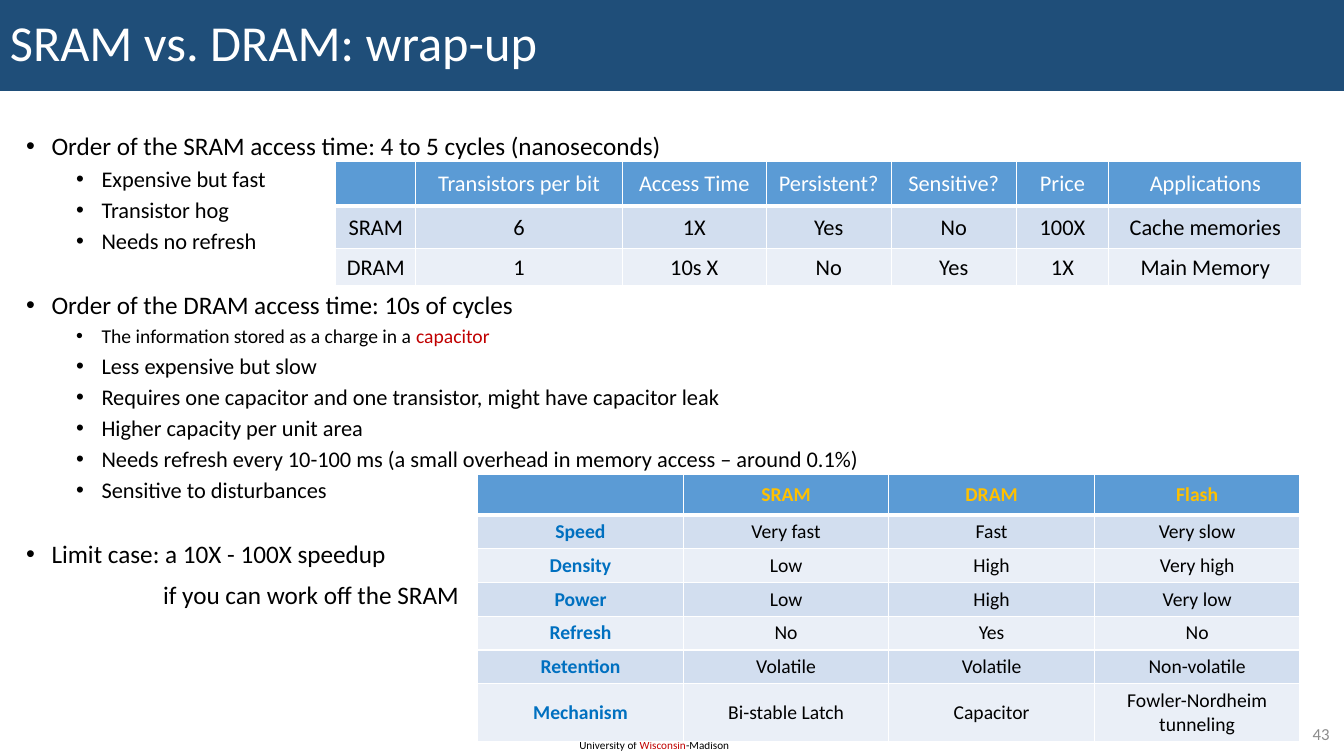
from dataclasses import dataclass

from lxml.etree import SubElement
from pptx import Presentation
from pptx.dml.color import RGBColor
from pptx.enum.shapes import MSO_SHAPE
from pptx.enum.text import MSO_ANCHOR, PP_ALIGN
from pptx.oxml.ns import qn
from pptx.util import Cm, Pt

FONT = "Calibri"
BLACK = RGBColor(0x00, 0x00, 0x00)
WHITE = RGBColor(0xFF, 0xFF, 0xFF)
NAVY = RGBColor(0x1F, 0x4E, 0x79)
RED = RGBColor(0xC0, 0x00, 0x00)
GRAY = RGBColor(0x8C, 0x8C, 0x8C)
GOLD = RGBColor(0xFF, 0xC0, 0x00)
BLUE = RGBColor(0x00, 0x70, 0xC0)
HEADER_FILL = RGBColor(0x5B, 0x9B, 0xD5)
BANDS = (RGBColor(0xD2, 0xDE, 0xEF), RGBColor(0xEA, 0xEF, 0xF7))


@dataclass
class Line:
    """A body paragraph; highlight is a red ending."""
    text: str
    size: float = 16
    before: float = 5
    margin: float = 1.9
    bullet: bool = True
    highlight: str = ""


@dataclass
class Grid:
    """A banded table; positions and sizes in centimetres."""
    left: float
    top: float
    cols: list[float]
    rows: list[float]
    size: float
    header_color: RGBColor
    header_bold: bool
    label_color: RGBColor
    label_bold: bool
    cells: list[list[str]]


BODY = [
    Line("Order of the SRAM access time: 4 to 5 cycles (nanoseconds)", 18, 0, 0.64),
    Line("Expensive but fast"),
    Line("Transistor hog"),
    Line("Needs no refresh"),
    Line("Order of the DRAM access time: 10s of cycles", 18, 27, 0.64),
    Line("The information stored as a charge in a ", 14, highlight="capacitor"),
    Line("Less expensive but slow"),
    Line("Requires one capacitor and one transistor, might have capacitor leak"),
    Line("Higher capacity per unit area"),
    Line("Needs refresh every 10-100 ms (a small overhead in memory access – around 0.1%)"),
    Line("Sensitive to disturbances"),
    Line("Limit case: a 10X - 100X speedup", 18, 27, 0.64),
    Line("if you can work off the SRAM", 18, 10, 3.45, bullet=False),
]

GRIDS = [
    Grid(8.46, 4.06, [2.02, 5.2, 3.63, 3.15, 3.15, 2.33, 4.87], [1.14, 1.07, 0.94],
         16, WHITE, False, BLACK, False, [
             ["", "Transistors per bit", "Access Time", "Persistent?", "Sensitive?",
              "Price", "Applications"],
             ["SRAM", "6", "1X", "Yes", "No", "100X", "Cache memories"],
             ["DRAM", "1", "10s X", "No", "Yes", "1X", "Main Memory"],
         ]),
    Grid(12.04, 11.96, [5.18] * 4, [0.85] * 6 + [1.45],
         14, GOLD, True, BLUE, True, [
             ["", "SRAM", "DRAM", "Flash"],
             ["Speed", "Very fast", "Fast", "Very slow"],
             ["Density", "Low", "High", "Very high"],
             ["Power", "Low", "High", "Very low"],
             ["Refresh", "No", "Yes", "No"],
             ["Retention", "Volatile", "Volatile", "Non-volatile"],
             ["Mechanism", "Bi-stable Latch", "Capacitor", "Fowler-Nordheim tunneling"],
         ]),
]


def add_run(p, text: str, size: float, color: RGBColor, bold: bool = False) -> None:
    r = p.add_run()
    r.text = text
    r.font.name = FONT
    r.font.size = Pt(size)
    r.font.bold = bold
    r.font.color.rgb = color


def add_textbox(s, left: float, top: float, width: float, height: float,
                wrap: bool = True):
    tf = s.shapes.add_textbox(Cm(left), Cm(top), Cm(width), Cm(height)).text_frame
    tf.word_wrap = wrap
    return tf


def add_title(s, text: str) -> None:
    sp = s.shapes.add_shape(MSO_SHAPE.RECTANGLE, 0, 0, Cm(33.87), Cm(2.29))
    sp.shadow.inherit = False
    sp.fill.solid()
    sp.fill.fore_color.rgb = NAVY
    sp.line.fill.background()
    tf = sp.text_frame
    tf.word_wrap = True
    tf.vertical_anchor = MSO_ANCHOR.MIDDLE
    p = tf.paragraphs[0]
    p.alignment = PP_ALIGN.LEFT
    p.line_spacing = 0.9
    add_run(p, text, 36, WHITE)


def add_body(s, lines: list[Line]) -> None:
    tf = add_textbox(s, 0.41, 3.25, 33.22, 14.6)
    for i, line in enumerate(lines):
        p = tf.add_paragraph() if i else tf.paragraphs[0]
        p_pr = p._p.get_or_add_pPr()
        p_pr.set("marL", str(Cm(line.margin)))
        if line.bullet:
            p_pr.set("indent", str(-Cm(0.64)))
            SubElement(p_pr, qn("a:buFont"), typeface="Arial")
            SubElement(p_pr, qn("a:buChar"), char="•")
        p.line_spacing = 0.9
        p.space_before = Pt(line.before)
        add_run(p, line.text, line.size, BLACK)
        if line.highlight:
            add_run(p, line.highlight, line.size, RED)


def add_borders(cell, bottom: float) -> None:
    tc_pr = cell._tc.get_or_add_tcPr()
    for side, width in (("L", 1), ("R", 1), ("T", 1), ("B", bottom)):
        ln = SubElement(tc_pr, qn(f"a:ln{side}"), w=str(Pt(width)))
        fill = SubElement(ln, qn("a:solidFill"))
        SubElement(fill, qn("a:srgbClr"), val=str(WHITE))


def add_grid(s, grid: Grid) -> None:
    table = s.shapes.add_table(
        len(grid.rows), len(grid.cols), Cm(grid.left), Cm(grid.top),
        Cm(sum(grid.cols)), Cm(sum(grid.rows))).table
    for col, width in zip(table.columns, grid.cols):
        col.width = Cm(width)
    for row, height in zip(table.rows, grid.rows):
        row.height = Cm(height)
    for i, texts in enumerate(grid.cells):
        for j, text in enumerate(texts):
            cell = table.cell(i, j)
            add_borders(cell, bottom=1 if i else 3)
            cell.fill.solid()
            cell.fill.fore_color.rgb = BANDS[(i - 1) % 2] if i else HEADER_FILL
            cell.vertical_anchor = MSO_ANCHOR.MIDDLE
            if i == 0:
                color, bold = grid.header_color, grid.header_bold
            elif j == 0:
                color, bold = grid.label_color, grid.label_bold
            else:
                color, bold = BLACK, False
            p = cell.text_frame.paragraphs[0]
            p.alignment = PP_ALIGN.CENTER
            if text:
                add_run(p, text, grid.size, color, bold)


def main() -> None:
    prs = Presentation()
    prs.slide_width, prs.slide_height = Cm(33.87), Cm(19.05)
    s = prs.slides.add_slide(prs.slide_layouts[6])

    # Footer
    p = add_textbox(s, 14.35, 18.49, 4.37, 0.6, wrap=False).paragraphs[0]
    for text, color in (("University of ", BLACK), ("Wisconsin", RED), ("-Madison", BLACK)):
        add_run(p, text, 8, color)

    # Title and bullets
    add_title(s, "SRAM vs. DRAM: wrap-up")
    add_body(s, BODY)

    # Slide number
    tf = add_textbox(s, 31.83, 18.11, 1.93, 0.74)
    tf.vertical_anchor = MSO_ANCHOR.MIDDLE
    tf.paragraphs[0].alignment = PP_ALIGN.RIGHT
    add_run(tf.paragraphs[0], "43", 12, GRAY)

    # Comparison tables
    for grid in GRIDS:
        add_grid(s, grid)

    prs.save("out.pptx")


if __name__ == "__main__":
    main()
